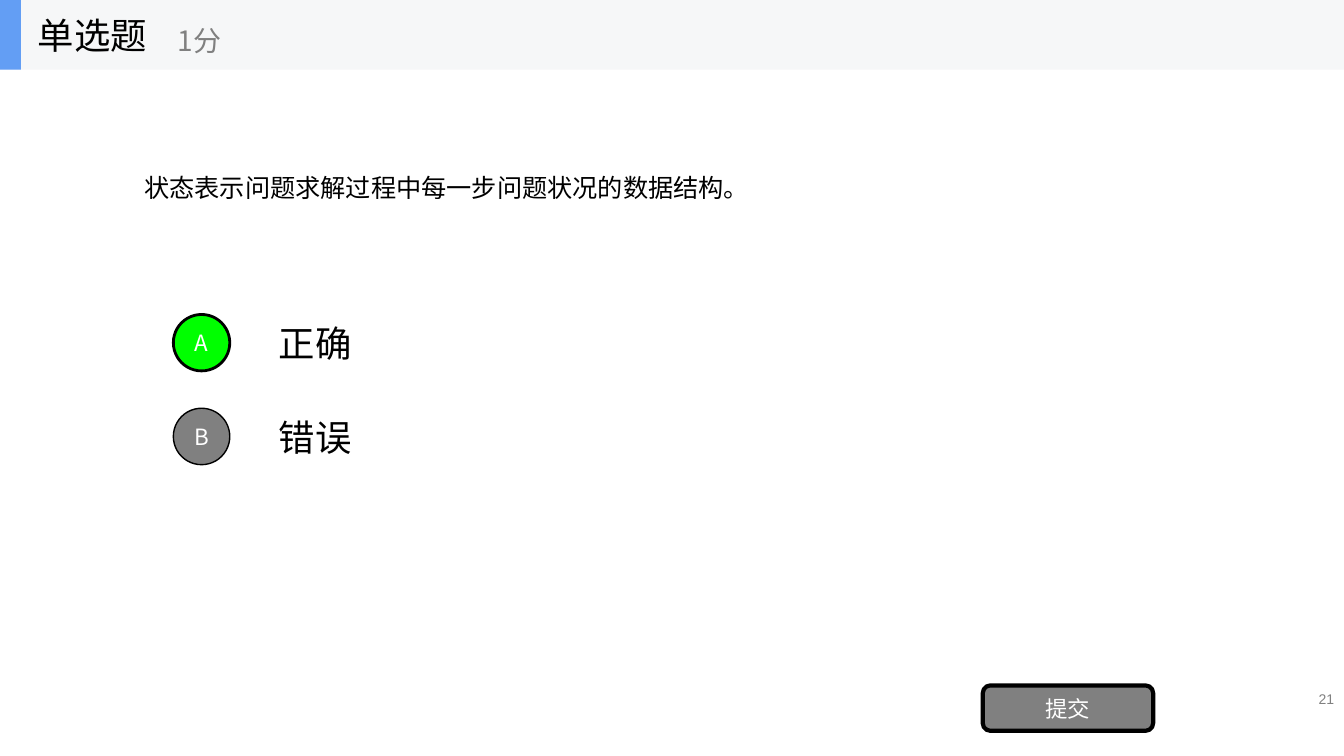
from dataclasses import dataclass

from lxml.etree import SubElement
from pptx import Presentation
from pptx.dml.color import RGBColor
from pptx.enum.shapes import MSO_SHAPE as Shape
from pptx.enum.text import MSO_ANCHOR as Anchor, PP_ALIGN as Align
from pptx.oxml.ns import qn
from pptx.util import Pt

CJK = "Noto Sans CJK SC"
BLACK, GREY, WHITE = "000000", "808080", "FFFFFF"
HEADER_HEIGHT = 49.68
BADGE_SIZE = 40.32
OPTION_TOP, OPTION_HEIGHT, OPTION_STEP = 219.6, 50.4, 67


@dataclass(frozen=True)
class Bounds:
    left: float
    top: float
    width: float
    height: float

    def lengths(self) -> tuple:
        return Pt(self.left), Pt(self.top), Pt(self.width), Pt(self.height)


@dataclass(frozen=True)
class Option:
    letter: str
    answer: str
    fill: str
    border: float


OPTIONS = [
    Option("A", "正确", "00FF00", 2),
    Option("B", "错误", GREY, 1),
]


def colour(value: str) -> RGBColor:
    return RGBColor.from_string(value)


def write(box, text: str, *, size: float, ink: str = BLACK,
          font: str = CJK, align=Align.LEFT) -> None:
    frame = box.text_frame
    frame.word_wrap = True
    frame.vertical_anchor = Anchor.MIDDLE
    para = frame.paragraphs[0]
    para.alignment = align
    span = para.add_run()
    span.text = text
    span.font.size = Pt(size)
    span.font.color.rgb = colour(ink)
    span.font.name = font
    SubElement(span._r.get_or_add_rPr(), qn("a:ea"), typeface=CJK)


def add_label(page, bounds: Bounds, text: str, **style) -> None:
    write(page.shapes.add_textbox(*bounds.lengths()), text, **style)


def add_block(page, kind, bounds: Bounds, fill: str, border: float = 0):
    block = page.shapes.add_shape(kind, *bounds.lengths())
    block.shadow.inherit = False
    block.fill.solid()
    block.fill.fore_color.rgb = colour(fill)
    if border:
        block.line.color.rgb = colour(BLACK)
        block.line.width = Pt(border)
    else:
        block.line.fill.background()
    return block


def add_button(page, kind, bounds: Bounds, text: str, fill: str, border: float) -> None:
    button = add_block(page, kind, bounds, fill, border)
    frame = button.text_frame
    frame.margin_left = frame.margin_right = Pt(0)
    frame.margin_top = frame.margin_bottom = Pt(0)
    write(button, text, size=16, ink=WHITE, align=Align.CENTER)


def add_option(page, option: Option, top: float) -> None:
    add_label(page, Bounds(192, top, 672, OPTION_HEIGHT), option.answer, size=26)
    badge_top = top + (OPTION_HEIGHT - BADGE_SIZE) / 2
    add_button(page, Shape.OVAL, Bounds(123.84, badge_top, BADGE_SIZE, BADGE_SIZE),
               option.letter, option.fill, option.border)


def add_header(page) -> None:
    add_block(page, Shape.RECTANGLE, Bounds(0, 0, 960, HEADER_HEIGHT), "F6F7F8")
    add_block(page, Shape.RECTANGLE, Bounds(0, 0, 15, HEADER_HEIGHT), "639EF4")
    add_label(page, Bounds(20, 0, 150, HEADER_HEIGHT), "单选题", size=26)
    add_label(page, Bounds(120, 8.64, 180, 40.32), "1分", size=20, ink=GREY)


def main() -> None:
    deck = Presentation()
    deck.slide_width, deck.slide_height = Pt(960), Pt(540)
    page = deck.slides.add_slide(deck.slide_layouts[6])

    add_label(page, Bounds(731, 491, 229, 16.56), "21", size=10, ink=GREY,
              font="Arial", align=Align.RIGHT)
    add_label(page, Bounds(96, HEADER_HEIGHT, 768, 168.5),
              "状态表示问题求解过程中每一步问题状况的数据结构。", size=18, font="Arial")
    for index, option in enumerate(OPTIONS):
        add_option(page, option, OPTION_TOP + index * OPTION_STEP)
    add_button(page, Shape.ROUNDED_RECTANGLE, Bounds(702, 489.6, 121.68, 32.4),
               "提交", GREY, 3)
    add_header(page)

    deck.save("out.pptx")


if __name__ == "__main__":
    main()
